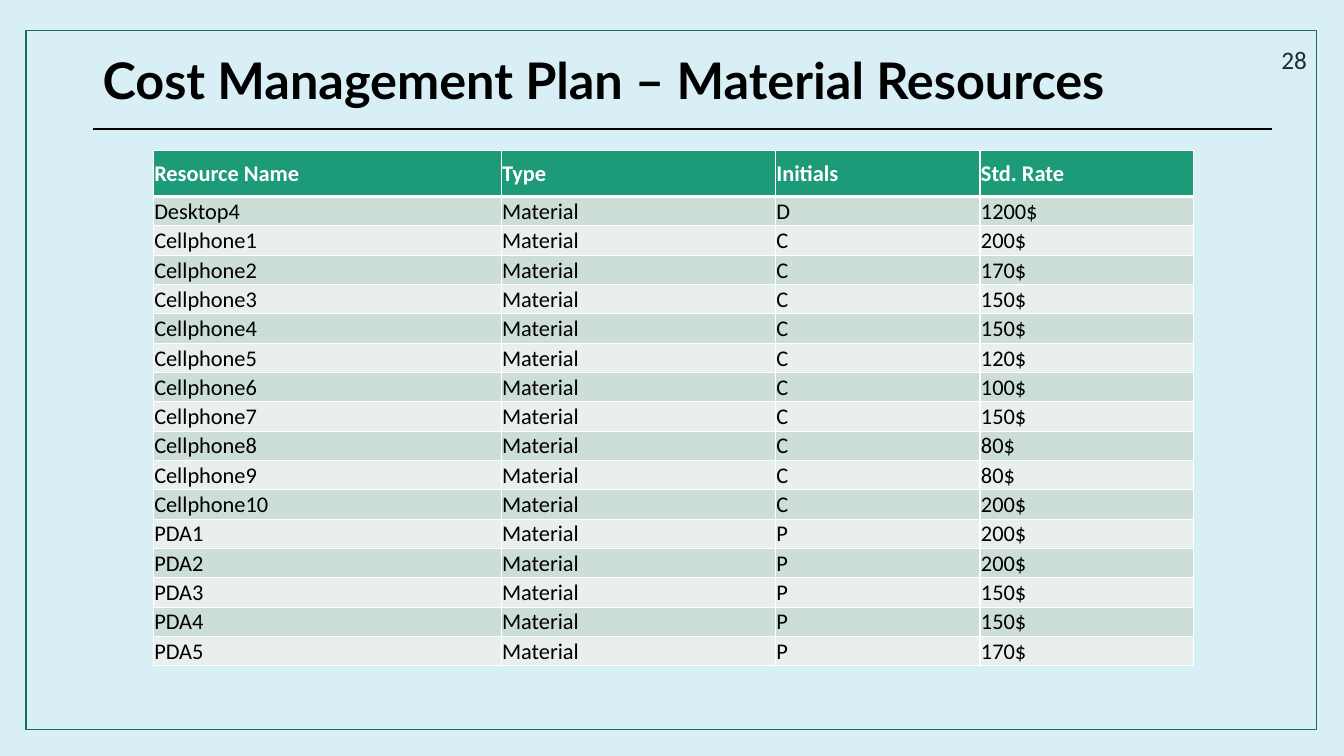
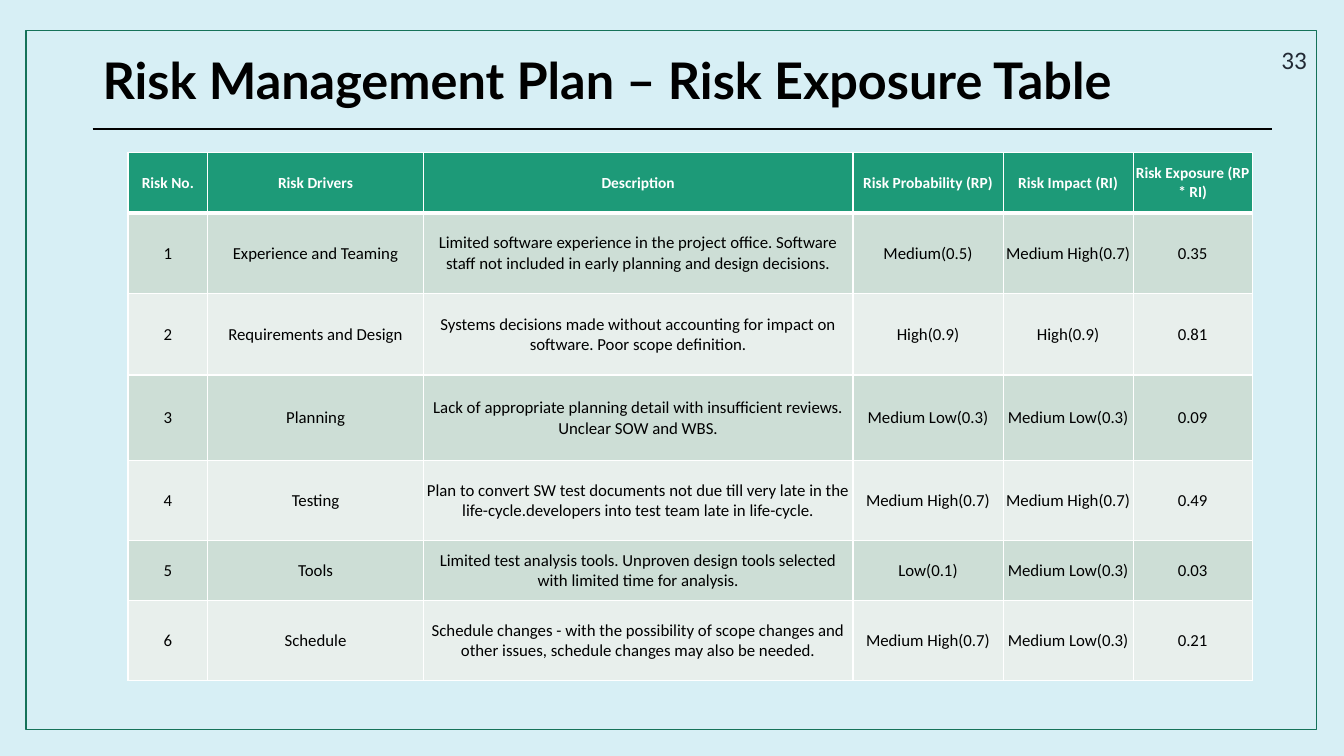
from dataclasses import dataclass

from lxml.etree import SubElement
from pptx import Presentation
from pptx.dml.color import RGBColor
from pptx.enum.shapes import MSO_CONNECTOR, MSO_SHAPE
from pptx.enum.text import MSO_ANCHOR, PP_ALIGN
from pptx.oxml import parse_xml
from pptx.oxml.ns import nsdecls, qn
from pptx.util import Inches, Pt


@dataclass(frozen=True)
class Theme:
    # Colours
    background: str = "D7EFF5"
    frame: str = "157259"
    header: str = "1D9A78"
    bands: tuple = ("CDDED6", "E8EFEC")
    white: str = "FFFFFF"
    black: str = "000000"
    number: str = "222A35"
    # Fonts and type sizes
    title_font: str = "Lato"
    body_font: str = "Calibri"
    title_size: int = 36
    number_size: int = 18
    list_size: int = 16
    risk_header_size: int = 11
    risk_size: int = 12
    # Line widths
    grid_width: int = 1
    header_rule_width: int = 3
    frame_width: int = 1
    title_rule_width: float = 1.5


def color(value):
    return RGBColor.from_string(value)


class Slides:
    def __init__(self, theme):
        self.theme = theme
        self.deck = Presentation()
        self.deck.slide_width = Inches(13.33)
        self.deck.slide_height = Inches(7.5)
        self.page = None

    def add_page(self, title, number):
        """Start a slide with the shared background, title, rule and frame."""
        theme = self.theme
        self.page = self.deck.slides.add_slide(self.deck.slide_layouts[6])
        fill = self.page.background.fill
        fill.solid()
        fill.fore_color.rgb = color(theme.background)
        self.text(title, (0.92, 0.4, 11.5, 0.86), theme.title_font,
                  theme.title_size, theme.black, bold=True, spacing=0.9)
        self.rule(0.92, 12.62, 1.28)
        self.frame(0.26, 0.3, 12.8, 6.94)
        self.text(str(number), (10.06, 0.39, 3, 0.4), theme.body_font,
                  theme.number_size, theme.number, align=PP_ALIGN.RIGHT)

    def add_span(self, para, text, font, size, ink, bold=False,
                 align=PP_ALIGN.LEFT):
        para.alignment = align
        span = para.add_run()
        span.text = text
        span.font.name = font
        span.font.size = Pt(size)
        span.font.bold = bold
        span.font.color.rgb = color(ink)

    def text(self, text, place, font, size, ink, spacing=1.0, **style):
        box = self.page.shapes.add_textbox(*map(Inches, place))
        frame = box.text_frame
        frame.word_wrap = True
        frame.vertical_anchor = MSO_ANCHOR.MIDDLE
        para = frame.paragraphs[0]
        para.line_spacing = spacing
        self.add_span(para, text, font, size, ink, **style)

    def rule(self, left, right, top):
        line = self.page.shapes.add_connector(
            MSO_CONNECTOR.STRAIGHT,
            Inches(left), Inches(top), Inches(right), Inches(top))
        line.line.color.rgb = color(self.theme.black)
        line.line.width = Pt(self.theme.title_rule_width)
        SubElement(line._element.spPr, qn("a:effectLst"))

    def frame(self, *place):
        shape = self.page.shapes.add_shape(
            MSO_SHAPE.RECTANGLE, *map(Inches, place))
        shape.shadow.inherit = False
        shape.fill.background()
        shape.line.color.rgb = color(self.theme.frame)
        shape.line.width = Pt(self.theme.frame_width)

    def borders(self, cell, row):
        """Draw the white grid, heavier between header and body."""
        theme = self.theme
        widths = {side: theme.grid_width for side in "LRTB"}
        if row < 2:
            widths["B" if row == 0 else "T"] = theme.header_rule_width
        properties = cell._tc.get_or_add_tcPr()
        for index, (side, width) in enumerate(widths.items()):
            properties.insert(index, parse_xml(
                f'<a:ln{side} {nsdecls("a")} w="{Pt(width)}"><a:solidFill>'
                f'<a:srgbClr val="{theme.white}"/></a:solidFill></a:ln{side}>'))

    def table(self, rows, left, top, widths, heights, header_size, body_size,
              align):
        theme = self.theme
        table = self.page.shapes.add_table(
            len(rows), len(widths), Inches(left), Inches(top),
            Inches(sum(widths)), Inches(sum(heights))).table
        table.horz_banding = False
        for column, width in zip(table.columns, widths):
            column.width = Inches(width)
        for number, (values, height) in enumerate(zip(rows, heights)):
            table.rows[number].height = Inches(height)
            is_header = number == 0
            fill = theme.header if is_header else theme.bands[(number - 1) % 2]
            for position, value in enumerate(values):
                cell = table.cell(number, position)
                cell.fill.solid()
                cell.fill.fore_color.rgb = color(fill)
                cell.vertical_anchor = MSO_ANCHOR.MIDDLE
                cell.margin_left = cell.margin_right = Inches(0.01)
                cell.margin_top, cell.margin_bottom = Inches(0.01), Inches(0)
                self.borders(cell, number)
                self.add_span(cell.text_frame.paragraphs[0], value,
                              theme.body_font,
                              header_size if is_header else body_size,
                              theme.white if is_header else theme.black,
                              bold=is_header, align=align)


# Rates in table order
PHONE_RATES = (200, 170, 150, 150, 120, 100, 150, 80, 80, 200)
PDA_RATES = (200, 200, 150, 150, 170)

RISKS = [
    ("Risk No.", "Risk Drivers", "Description", "Risk Probability (RP)",
     "Risk Impact (RI)", "Risk Exposure (RP * RI)"),
    ("1", "Experience and Teaming",
     "Limited software experience in the project office. Software staff not "
     "included in early planning and design decisions.",
     "Medium(0.5)", "Medium High(0.7)", "0.35"),
    ("2", "Requirements and Design",
     "Systems decisions made without accounting for impact on software. "
     "Poor scope definition.",
     "High(0.9)", "High(0.9)", "0.81"),
    ("3", "Planning",
     "Lack of appropriate planning detail with insufficient reviews. "
     "Unclear SOW and WBS.",
     "Medium Low(0.3)", "Medium Low(0.3)", "0.09"),
    ("4", "Testing",
     "Plan to convert SW test documents not due till very late in the "
     "life-cycle.developers into test team late in life-cycle.",
     "Medium High(0.7)", "Medium High(0.7)", "0.49"),
    ("5", "Tools",
     "Limited test analysis tools. Unproven design tools selected with "
     "limited time for analysis.",
     "Low(0.1)", "Medium Low(0.3)", "0.03"),
    ("6", "Schedule",
     "Schedule changes - with the possibility of scope changes and other "
     "issues, schedule changes may also be needed.",
     "Medium High(0.7)", "Medium Low(0.3)", "0.21"),
]


def material_rows():
    items = [("Desktop4", 1200)]
    for kind, rates in (("Cellphone", PHONE_RATES), ("PDA", PDA_RATES)):
        items += [(f"{kind}{index}", rate)
                  for index, rate in enumerate(rates, 1)]
    return [("Resource Name", "Type", "Initials", "Std. Rate")] + [
        (name, "Material", name[0], f"{rate}$") for name, rate in items]


def main():
    theme = Theme()
    slides = Slides(theme)

    # Material resources
    slides.add_page("Cost Management Plan – Material Resources", 28)
    materials = material_rows()
    header_height, table_height = 0.46, 5.12
    count = len(materials) - 1
    row_height = (table_height - header_height) / count
    slides.table(materials, 1.52, 1.49, (3.45, 2.72, 2.03, 2.12),
                 [header_height] + [row_height] * count,
                 theme.list_size, theme.list_size, PP_ALIGN.LEFT)

    # Risk exposure
    slides.add_page("Risk Management Plan – Risk Exposure Table", 33)
    slides.table(RISKS, 1.27, 1.51, (0.79, 2.14, 4.26, 1.49, 1.29, 1.18),
                 (0.6, 0.8, 0.81, 0.85, 0.79, 0.6, 0.79),
                 theme.risk_header_size, theme.risk_size, PP_ALIGN.CENTER)

    slides.deck.save("out.pptx")


if __name__ == "__main__":
    main()
